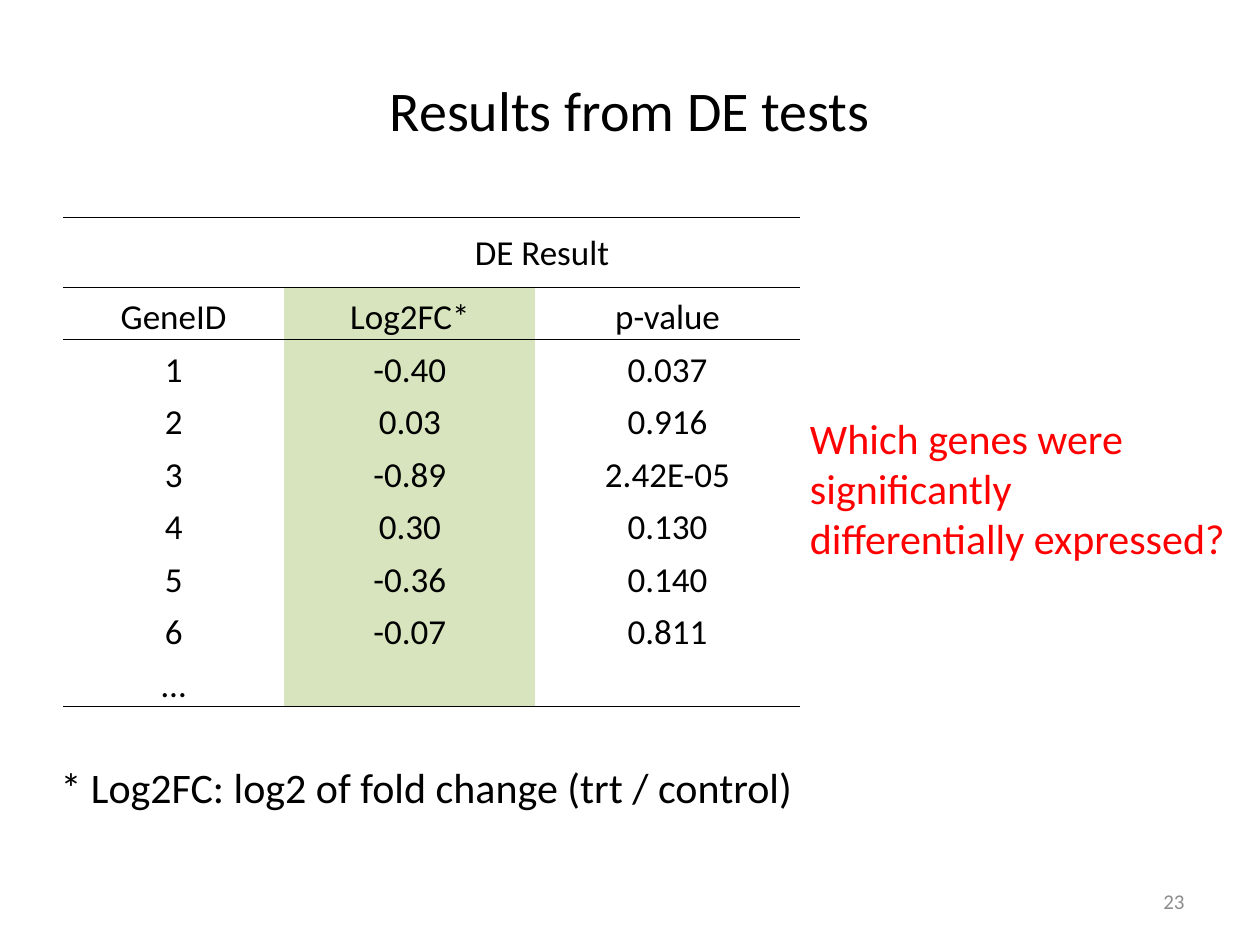
from pptx import Presentation
from pptx.dml.color import RGBColor
from pptx.enum.text import MSO_ANCHOR as ANCHOR, MSO_AUTO_SIZE as AUTO, PP_ALIGN as ALIGN
from pptx.oxml import parse_xml
from pptx.oxml.ns import nsdecls
from pptx.util import Pt

BLACK = RGBColor(0, 0, 0)
GREEN = RGBColor(0xD7, 0xE4, 0xBD)
RED = RGBColor(0xFF, 0, 0)
GREY = RGBColor(0x8C, 0x8C, 0x8C)

TITLE = "Results from DE tests"
FOOTNOTE = "* Log2FC: log2 of fold change (trt / control)"
QUESTION = "Which genes were significantly differentially expressed?"
PAGE = "23"
ROWS = [
    ("", "DE Result", ""),
    ("GeneID", "Log2FC*", "p-value"),
    ("1", "-0.40", "0.037"),
    ("2", "0.03", "0.916"),
    ("3", "-0.89", "2.42E-05"),
    ("4", "0.30", "0.130"),
    ("5", "-0.36", "0.140"),
    ("6", "-0.07", "0.811"),
    ("…", "", ""),
]
COL_WIDTHS = (126.5, 143.5, 151)
HEAD_HEIGHT, ROW_HEIGHT = 39.5, 30
RULES = {0, 1, 2, len(ROWS)}  # row boundaries with a line
SHADED_COL = 1


def style(tf, size, color, align=ALIGN.LEFT):
    for p in tf.paragraphs:
        p.alignment = align
        for r in p.runs:
            r.font.size, r.font.name = Pt(size), "Calibri"
            r.font.color.rgb = color


def set_borders(cell, top, bottom):
    line = f'<a:solidFill><a:srgbClr val="{BLACK}"/></a:solidFill>'
    for side, shown in (("L", False), ("R", False), ("T", top), ("B", bottom)):
        cell._tc.get_or_add_tcPr().append(parse_xml(
            f'<a:ln{side} {nsdecls("a")} w="{Pt(0.5)}">'
            f'{line if shown else "<a:noFill/>"}</a:ln{side}>'))


def add_results(s):
    frame = s.shapes.add_table(len(ROWS), len(COL_WIDTHS), Pt(36), Pt(124.5),
                               Pt(sum(COL_WIDTHS)),
                               Pt(HEAD_HEIGHT + ROW_HEIGHT * (len(ROWS) - 1)))
    table = frame.table
    table.first_row = table.horz_banding = False
    for col, width in zip(table.columns, COL_WIDTHS):
        col.width = Pt(width)
    for i, values in enumerate(ROWS):
        table.rows[i].height = Pt(ROW_HEIGHT if i else HEAD_HEIGHT)
        for j, value in enumerate(values):
            cell = table.cell(i, j)
            cell.text = value
            cell.margin_left = cell.margin_right = cell.margin_top = Pt(0.75)
            cell.margin_bottom = 0
            cell.vertical_anchor = ANCHOR.BOTTOM if i else ANCHOR.MIDDLE
            style(cell.text_frame, 20, BLACK, ALIGN.CENTER)
            set_borders(cell, i in RULES, i + 1 in RULES)
            if i and j == SHADED_COL:
                cell.fill.solid()
                cell.fill.fore_color.rgb = GREEN
            else:
                cell.fill.background()
    table.cell(0, 1).merge(table.cell(0, 2))


def add_text(s, text, box, size, color, align=ALIGN.LEFT, wrap=True,
             anchor=ANCHOR.TOP, auto=AUTO.SHAPE_TO_FIT_TEXT):
    tf = s.shapes.add_textbox(*map(Pt, box)).text_frame
    tf.text = text
    tf.word_wrap, tf.vertical_anchor, tf.auto_size = wrap, anchor, auto
    style(tf, size, color, align)


def main():
    prs = Presentation()
    prs.slide_width, prs.slide_height = Pt(720), Pt(540)
    s = prs.slides.add_slide(prs.slide_layouts[5])

    title = s.shapes.title
    title.left, title.top, title.width, title.height = map(Pt, (36, 33, 648, 59))
    title.text_frame.text = TITLE
    title.text_frame.vertical_anchor = ANCHOR.MIDDLE
    style(title.text_frame, 32, BLACK, ALIGN.CENTER)

    add_results(s)
    add_text(s, FOOTNOTE, (27.5, 431.5, 438.5, 36), 24, BLACK, wrap=False)
    add_text(s, PAGE, (516, 500.5, 168, 28.75), 12, GREY, ALIGN.RIGHT,
             anchor=ANCHOR.MIDDLE, auto=AUTO.NONE)
    add_text(s, QUESTION, (455.75, 232, 255.5, 94.5), 24, RED)
    prs.save("out.pptx")


if __name__ == "__main__":
    main()
